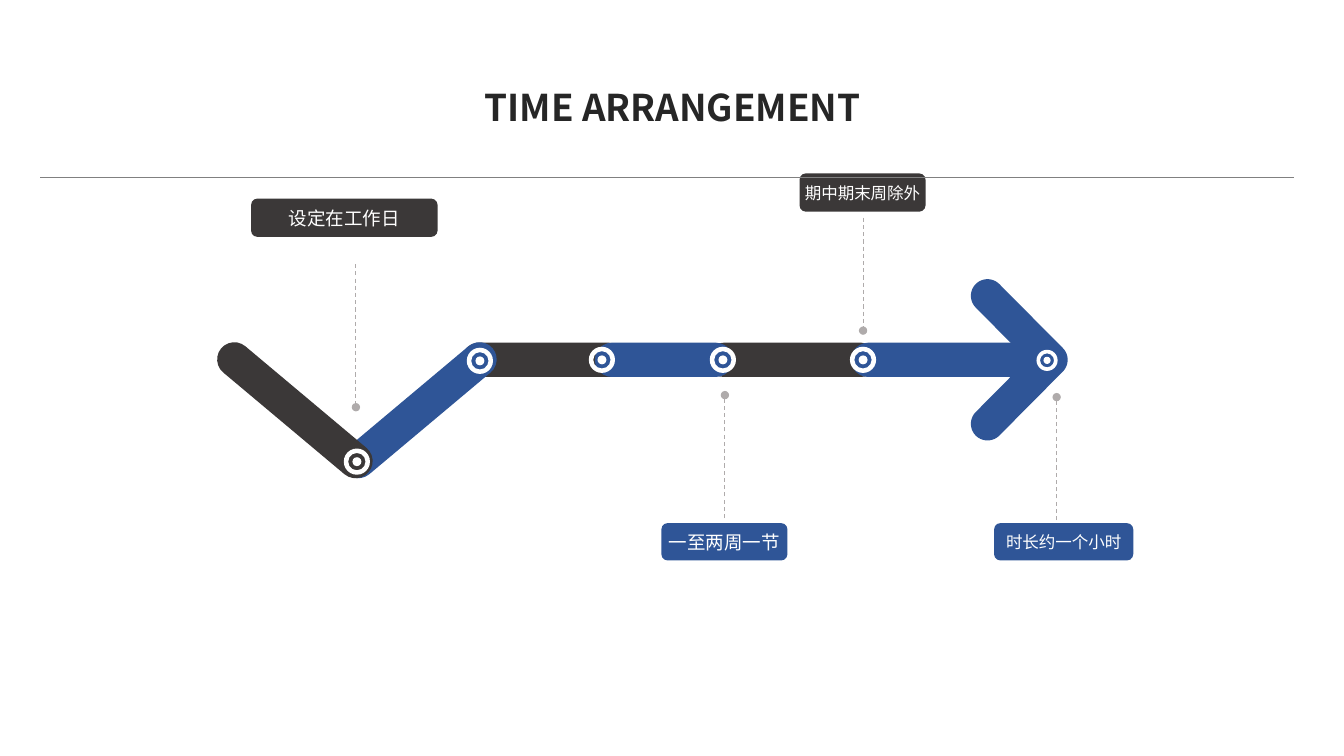
from math import cos, radians, sin, sqrt

from pptx import Presentation
from pptx.dml.color import RGBColor
from pptx.enum.dml import MSO_LINE
from pptx.enum.shapes import MSO_CONNECTOR, MSO_SHAPE
from pptx.enum.text import MSO_ANCHOR, MSO_AUTO_SIZE, PP_ALIGN
from pptx.oxml.ns import qn
from pptx.util import Pt
from lxml.etree import SubElement

PX = 9144  # EMU per px, 100 px to the inch
FONT = "Noto Sans CJK SC"
DARK = RGBColor(0x3B, 0x38, 0x38)
BLUE = RGBColor(0x2F, 0x55, 0x97)
WHITE = RGBColor(0xFF, 0xFF, 0xFF)
INK = RGBColor(0x26, 0x26, 0x26)
RULE_GRAY = RGBColor(0x80, 0x80, 0x80)
LEADER_GRAY = RGBColor(0xAF, 0xAB, 0xAB)

BAR = 34  # thickness of the path
# left, top, length, rotation, colour
BARS = [
    (458, 340, 163, 0, DARK),
    (701, 340, 170, 0, DARK),
    (844, 340, 191, 0, BLUE),
    (590, 340, 137, 0, BLUE),
    (320, 390, 191, 320, BLUE),
    (197, 390, 191, 40, DARK),
]
# left, top, diameter
RINGS = [(341, 445, 26), (463, 345, 26), (584, 344, 26),
         (704, 344, 26), (843, 344, 26), (1028, 347, 21)]
# box, text, size, colour, leader x, leader start, leader dot
LABELS = [
    ((249, 197, 185, 38), "设定在工作日", 13.2, DARK, 353, 262, 404),
    ((656, 519, 125, 37), "一至两周一节", 13.2, BLUE, 719, 514, 392),
    ((793, 172, 125, 38), "期中期末周除外", 11.8, DARK, 856, 216, 328),
    ((986, 519, 138, 37), "时长约一个小时", 11.8, BLUE, 1048, 516, 394),
]


def px(*lengths):
    return [round(length * PX) for length in lengths]


def paint(shape, colour):
    shape.shadow.inherit = False
    shape.fill.solid()
    shape.fill.fore_color.rgb = colour
    shape.line.fill.background()


def add_filled(page, kind, box, colour):
    shape = page.shapes.add_shape(kind, *px(*box))
    paint(shape, colour)
    return shape


def add_line(page, start, end, colour, width):
    line = page.shapes.add_connector(MSO_CONNECTOR.STRAIGHT, *px(*start, *end))
    line.line.color.rgb = colour
    line.line.width = Pt(width)
    SubElement(line._element.spPr, qn("a:effectLst"))
    return line


def add_arrow_head(page, left, top, width, height):
    radius = 16.5
    tail, nose = left + radius, left + width - radius
    middle = top + height / 2
    # rounded corners: centre, first angle, last angle
    corners = [(tail, top + radius, 135, 315),
               (nose, middle, -45, 45),
               (tail, top + height - radius, 45, 225)]
    outline = [(x + radius * cos(radians(angle)), y + radius * sin(radians(angle)))
               for x, y, first, last in corners
               for angle in range(first, last + 1, 5)]
    outline.append((nose - radius * sqrt(2), middle))
    builder = page.shapes.build_freeform(*px(*outline[0]), scale=1.0)
    builder.add_line_segments([px(*point) for point in outline[1:]], close=True)
    paint(builder.convert_to_shape(), BLUE)


def add_ring(page, left, top, size):
    ring = add_filled(page, MSO_SHAPE.DONUT, (left, top, size, size), WHITE)
    ring.adjustments[0] = 0.17
    dot = size * 0.34
    inset = (size - dot) / 2
    add_filled(page, MSO_SHAPE.OVAL, (left + inset, top + inset, dot, dot), WHITE)


def add_path(page):
    for left, top, length, rotation, colour in BARS:
        bar = add_filled(page, MSO_SHAPE.ROUNDED_RECTANGLE,
                         (left, top, length, BAR), colour)
        bar.adjustments[0] = 0.5
        bar.rotation = rotation
    add_arrow_head(page, 963, 277, 96, 160)
    for ring in RINGS:
        add_ring(page, *ring)


def write(frame, text, size, colour, align):
    frame.word_wrap = False
    frame.vertical_anchor = MSO_ANCHOR.MIDDLE
    para = frame.paragraphs[0]
    para.text = text
    para.alignment = align
    para.font.name = FONT
    para.font.size = Pt(size)
    para.font.color.rgb = colour
    # East Asian typeface for the Chinese characters
    properties = para._p.pPr.find(qn("a:defRPr"))
    SubElement(properties, qn("a:ea"), typeface=FONT)
    return para


def add_label(page, box, text, size, colour):
    label = add_filled(page, MSO_SHAPE.ROUNDED_RECTANGLE, box, colour)
    write(label.text_frame, text, size, WHITE, PP_ALIGN.CENTER)


def add_leader(page, x, start, dot):
    leader = add_line(page, (x, start), (x, dot), LEADER_GRAY, 0.75)
    leader.line.dash_style = MSO_LINE.DASH
    SubElement(leader.line._get_or_add_ln(), qn("a:tailEnd"), type="oval")


def add_heading(page, left, top, width, height):
    add_line(page, (40, 176), (1283, 176), RULE_GRAY, 0.5)
    box = page.shapes.add_textbox(*px(left, top, width, height))
    para = write(box.text_frame, "TIME ARRANGEMENT", 26.3, INK, PP_ALIGN.LEFT)
    para.font.bold = True
    box.text_frame.auto_size = MSO_AUTO_SIZE.SHAPE_TO_FIT_TEXT


def main():
    deck = Presentation()
    deck.slide_width, deck.slide_height = px(1333, 750)
    page = deck.slides.add_slide(deck.slide_layouts[6])
    add_path(page)
    for box, text, size, colour, *_ in LABELS:
        add_label(page, box, text, size, colour)
    # The rule runs over the labels
    add_heading(page, 471, 79, 426, 54)
    for *_, x, start, dot in LABELS:
        add_leader(page, x, start, dot)
    deck.save("out.pptx")


if __name__ == "__main__":
    main()
